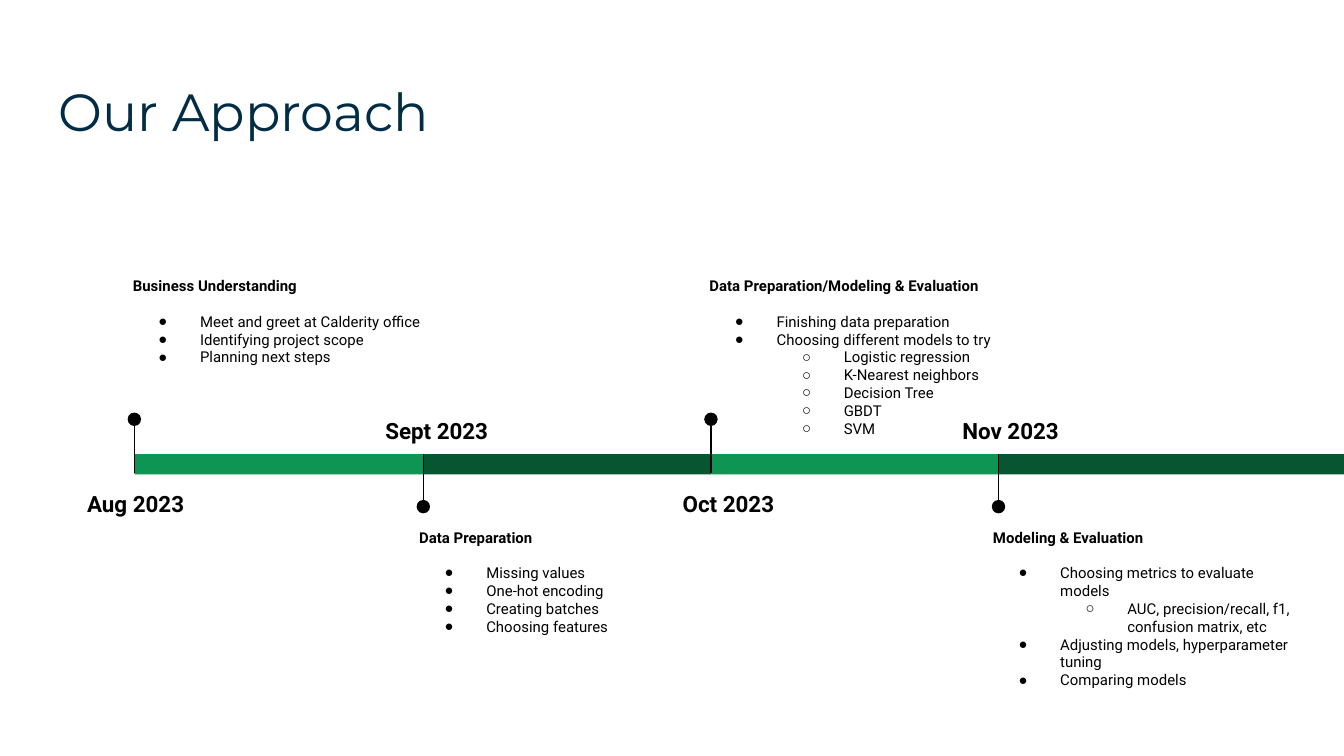
from dataclasses import dataclass

from lxml import etree
from pptx import Presentation
from pptx.dml.color import RGBColor
from pptx.enum.shapes import MSO_CONNECTOR, MSO_SHAPE
from pptx.enum.text import PP_ALIGN
from pptx.oxml.ns import qn
from pptx.util import Inches, Pt

STRAIGHT = MSO_CONNECTOR.STRAIGHT
RECTANGLE, OVAL = MSO_SHAPE.RECTANGLE, MSO_SHAPE.OVAL
LEFT, CENTER = PP_ALIGN.LEFT, PP_ALIGN.CENTER


@dataclass(frozen=True)
class Theme:
    navy: RGBColor = RGBColor.from_string("002D45")
    black: RGBColor = RGBColor.from_string("000000")
    light_green: RGBColor = RGBColor.from_string("0E9453")
    dark_green: RGBColor = RGBColor.from_string("085631")
    title_font: str = "Montserrat"
    body_font: str = "Roboto"
    bullet_font: str = "Arial"
    title_size: int = 28
    date_size: int = 12
    body_size: int = 8


THEME = Theme()

# Timeline geometry in inches, on a 16:9 slide
SLIDE_WIDTH = 10
SLIDE_HEIGHT = SLIDE_WIDTH * 9 / 16
BAR_TOP, BAR_HEIGHT = 3.38, 0.15
STEM_TOP, STEM_FOOT, STEM_BOTTOM = 3.12, 3.52, 3.77
DOT_SIZE = 0.1
DATE_WIDTH, DATE_HEIGHT = 1, 0.41
NOTES_WIDTH = 2.46

# Text formats
TITLE = dict(name=THEME.title_font, size=Pt(THEME.title_size), color=THEME.navy)
DATE = dict(name=THEME.body_font, size=Pt(THEME.date_size), color=THEME.black, bold=True)
HEADING = dict(name=THEME.body_font, size=Pt(THEME.body_size), color=THEME.black, bold=True)
BODY = {**HEADING, "bold": False}
BULLETS = ("●", "○")

# Phases: start, date, date centre, notes left, notes height, heading, (level, text) items
PHASES = [
    (1.0, "Aug 2023", 1.01, 0.89, 1.03, "Business Understanding", [
        (0, "Meet and greet at Calderity office"),
        (0, "Identifying project scope"),
        (0, "Planning next steps")]),
    (3.15, "Sept 2023", 3.25, 3.02, 1.03, "Data Preparation", [
        (0, "Missing values"),
        (0, "One-hot encoding"),
        (0, "Creating batches"),
        (0, "Choosing features")]),
    (5.29, "Oct 2023", 5.42, 5.18, 1.03, "Data Preparation/Modeling & Evaluation", [
        (0, "Finishing data preparation"),
        (0, "Choosing different models to try"),
        (1, "Logistic regression"),
        (1, "K-Nearest neighbors"),
        (1, "Decision Tree"),
        (1, "GBDT"),
        (1, "SVM")]),
    (7.43, "Nov 2023", 7.52, 7.29, 1.42, "Modeling & Evaluation", [
        (0, "Choosing metrics to evaluate models"),
        (1, "AUC, precision/recall, f1, confusion matrix, etc"),
        (0, "Adjusting models, hyperparameter tuning"),
        (0, "Comparing models")]),
]


def add_box(slide, left, top, width, height):
    """Add a wrapping text box and return its text frame."""
    box = slide.shapes.add_textbox(Inches(left), Inches(top), Inches(width), Inches(height))
    frame = box.text_frame
    frame.word_wrap = True
    for side in ("left", "top", "right", "bottom"):
        setattr(frame, f"margin_{side}", Inches(0.1))
    return frame


def write(paragraph, text, style, alignment=LEFT):
    run = paragraph.add_run()
    run.text = text
    paragraph.alignment = alignment
    for name, value in style.items():
        if name == "color":
            run.font.color.rgb = value
        else:
            setattr(run.font, name, value)


def add_bullet(paragraph, level):
    paragraph.level = level
    properties = paragraph._p.get_or_add_pPr()
    properties.set("marL", str(Inches(0.5 * (level + 1))))
    properties.set("indent", str(Inches(-0.31)))
    color = etree.SubElement(properties, qn("a:buClr"))
    etree.SubElement(color, qn("a:srgbClr"), val=str(THEME.black))
    etree.SubElement(properties, qn("a:buSzPts"), val=str(THEME.body_size * 100))
    etree.SubElement(properties, qn("a:buFont"), typeface=THEME.bullet_font)
    etree.SubElement(properties, qn("a:buChar"), char=BULLETS[level])


def add_filled(slide, kind, left, top, width, height, color):
    shape = slide.shapes.add_shape(
        kind, Inches(left), Inches(top), Inches(width), Inches(height))
    shape.shadow.inherit = False
    shape.fill.solid()
    shape.fill.fore_color.rgb = color
    shape.line.fill.background()


def add_stem(slide, x, start, end):
    """Draw a thin vertical line ending in a dot."""
    line = slide.shapes.add_connector(
        STRAIGHT, Inches(x), Inches(start), Inches(x), Inches(end))
    line.line.color.rgb = THEME.black
    line.line.width = Pt(0.75)
    etree.SubElement(line._element.spPr, qn("a:effectLst"))
    add_filled(slide, OVAL, x - DOT_SIZE / 2, end - DOT_SIZE / 2,
               DOT_SIZE, DOT_SIZE, THEME.black)


def add_date(slide, center, top, text):
    frame = add_box(slide, center - DATE_WIDTH / 2, top, DATE_WIDTH, DATE_HEIGHT)
    paragraph = frame.paragraphs[0]
    write(paragraph, text, DATE, CENTER)
    paragraph.line_spacing = 1.15


def add_notes(slide, left, top, height, heading, items):
    frame = add_box(slide, left, top, NOTES_WIDTH, height)
    write(frame.paragraphs[0], heading, HEADING)
    frame.paragraphs[0].space_after = Pt(9.4)
    for level, text in items:
        paragraph = frame.add_paragraph()
        add_bullet(paragraph, level)
        write(paragraph, text, BODY)


def add_phase(slide, index, phase, end):
    """Phases alternate: notes above the bar, then notes below it."""
    start, date, date_center, notes_left, notes_height, heading, items = phase
    above = index % 2 == 0
    color = THEME.light_green if above else THEME.dark_green
    add_filled(slide, RECTANGLE, start, BAR_TOP, end - start, BAR_HEIGHT, color)
    if above:
        add_stem(slide, start, STEM_FOOT, STEM_TOP)
    else:
        add_stem(slide, start, BAR_TOP, STEM_BOTTOM)
    add_date(slide, date_center, STEM_FOOT if above else BAR_TOP - DATE_HEIGHT, date)
    add_notes(slide, notes_left, 1.96 if above else 3.83, notes_height, heading, items)


def main():
    presentation = Presentation()
    presentation.slide_width = Inches(SLIDE_WIDTH)
    presentation.slide_height = Inches(SLIDE_HEIGHT)
    slide = presentation.slides.add_slide(presentation.slide_layouts[6])

    # Title
    title = add_box(slide, 0.34, 0.49, 9.32, 0.63)
    write(title.paragraphs[0], "Our Approach", TITLE)

    # Timeline: each bar runs to the start of the next phase
    ends = [phase[0] for phase in PHASES[1:]] + [SLIDE_WIDTH]
    for index, (phase, end) in enumerate(zip(PHASES, ends)):
        add_phase(slide, index, phase, end)

    presentation.save("out.pptx")


if __name__ == "__main__":
    main()
